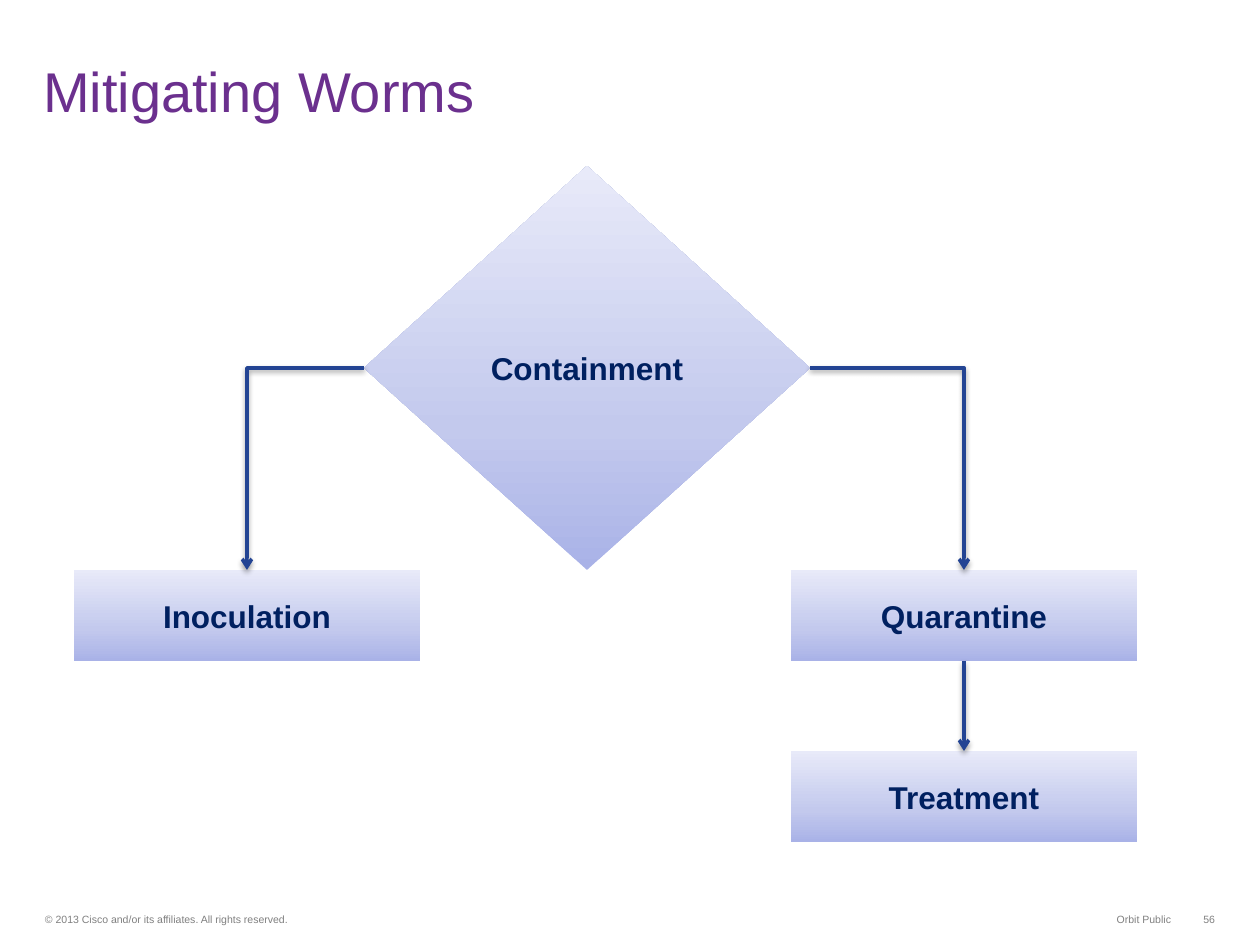
from dataclasses import dataclass

from lxml.etree import SubElement
from pptx import Presentation
from pptx.dml.color import RGBColor
from pptx.enum.shapes import MSO_CONNECTOR, MSO_SHAPE
from pptx.enum.text import MSO_ANCHOR, MSO_AUTO_SIZE, PP_ALIGN
from pptx.oxml import parse_xml
from pptx.oxml.ns import nsdecls, qn
from pptx.util import Emu, Pt


@dataclass(frozen=True)
class Theme:
    font: str = "Arial"
    title: str = "6B308E"
    label: str = "002060"
    footer: str = "808080"
    arrow: str = "234493"
    gradient: tuple = ((0, "A9B2E7"), (35, "C3C9ED"), (100, "E8EAF9"))
    title_size: int = 32
    label_size: int = 18
    footer_size: int = 6
    arrow_width: int = 2


THEME = Theme()
TOP, LEFT, BOTTOM, RIGHT = range(4)  # connection sites of a diamond or rectangle
BOX_W, BOX_H = 346, 91
LEFT_X, RIGHT_X = 74, 791
BRANCH_Y, TREATMENT_Y = 570, 751


def px(n):
    return Emu(round(n * 914400 / 126))


def set_attrs(obj, **values):
    for name, value in values.items():
        setattr(obj, name, value)


def write(tf, text, size, color, bold=False, align=PP_ALIGN.LEFT,
          anchor=MSO_ANCHOR.BOTTOM, wrap=True, margin_y=5):
    set_attrs(tf, vertical_anchor=anchor, word_wrap=wrap,
              auto_size=MSO_AUTO_SIZE.NONE,
              margin_left=px(11), margin_right=px(11),
              margin_top=px(margin_y), margin_bottom=px(margin_y))
    p = tf.paragraphs[0]
    p.alignment = align
    r = p.add_run()
    r.text = text
    set_attrs(r.font, name=THEME.font, size=Pt(size), bold=bold)
    r.font.color.rgb = RGBColor.from_string(color)


def add_title(s, text):
    title = s.shapes.title
    set_attrs(title, left=px(32), top=px(14), width=px(1218), height=px(116))
    write(title.text_frame, text, THEME.title_size, THEME.title, margin_y=6)


def add_footer(s, text, x, w, align=PP_ALIGN.LEFT, wrap=False):
    box = s.shapes.add_textbox(px(x), px(907), px(w), px(24))
    write(box.text_frame, text, THEME.footer_size, THEME.footer,
          align=align, wrap=wrap)


def gradient_fill(sp):
    """Fill with the theme gradient, running from bottom to top."""
    stops = "".join(
        f'<a:gs pos="{pos * 1000}"><a:srgbClr val="{color}"/></a:gs>'
        for pos, color in THEME.gradient)
    sp._element.spPr.find(qn("a:prstGeom")).addnext(parse_xml(
        f'<a:gradFill {nsdecls("a")} rotWithShape="1"><a:gsLst>{stops}</a:gsLst>'
        '<a:lin ang="16200000" scaled="0"/></a:gradFill>'))


def add_node(s, text, x, y, w=BOX_W, h=BOX_H, kind=MSO_SHAPE.RECTANGLE):
    sp = s.shapes.add_shape(kind, px(x), px(y), px(w), px(h))
    gradient_fill(sp)
    sp.line.fill.background()
    sp.shadow.inherit = False
    write(sp.text_frame, text, THEME.label_size, THEME.label, bold=True,
          align=PP_ALIGN.CENTER, anchor=MSO_ANCHOR.MIDDLE)
    return sp


def site_point(sp, site):
    fx, fy = {TOP: (1, 0), LEFT: (0, 1), BOTTOM: (1, 2), RIGHT: (2, 1)}[site]
    return sp.left + sp.width * fx // 2, sp.top + sp.height * fy // 2


def add_arrow(s, start, site, end):
    """Join a site of start to the top of end; side sites give one bend."""
    bent = site in (LEFT, RIGHT)
    kind = MSO_CONNECTOR.ELBOW if bent else MSO_CONNECTOR.STRAIGHT
    cxn = s.shapes.add_connector(kind, *site_point(start, site),
                                 *site_point(end, TOP))
    cxn.begin_connect(start, site)
    cxn.end_connect(end, TOP)
    cxn.line.color.rgb = RGBColor.from_string(THEME.arrow)
    cxn.line.width = Pt(THEME.arrow_width)
    spPr = cxn._element.spPr
    if bent:
        spPr.find(qn("a:prstGeom")).set("prst", "bentConnector2")
    SubElement(spPr.find(qn("a:ln")), qn("a:tailEnd"), type="arrow")
    spPr.append(parse_xml(
        f'<a:effectLst {nsdecls("a")}>'
        '<a:outerShdw blurRad="40000" dist="20000" dir="5400000" rotWithShape="0">'
        '<a:srgbClr val="000000"><a:alpha val="38000"/></a:srgbClr>'
        '</a:outerShdw></a:effectLst>'))


def main():
    prs = Presentation()
    set_attrs(prs, slide_width=px(1260), slide_height=px(945))
    s = prs.slides.add_slide(prs.slide_layouts[5])

    add_footer(s, "© 2013 Cisco and/or its affiliates. All rights reserved.",
               34, 471, wrap=True)
    add_footer(s, "Orbit Public", 1100, 82, PP_ALIGN.RIGHT)
    add_footer(s, "56", 1191, 35, PP_ALIGN.RIGHT)
    add_title(s, "Mitigating Worms")

    containment = add_node(s, "Containment", 364, 166, 446, 404, MSO_SHAPE.DIAMOND)
    inoculation = add_node(s, "Inoculation", LEFT_X, BRANCH_Y)
    quarantine = add_node(s, "Quarantine", RIGHT_X, BRANCH_Y)
    treatment = add_node(s, "Treatment", RIGHT_X, TREATMENT_Y)

    add_arrow(s, containment, LEFT, inoculation)
    add_arrow(s, containment, RIGHT, quarantine)
    add_arrow(s, quarantine, BOTTOM, treatment)

    prs.save("out.pptx")


if __name__ == "__main__":
    main()
